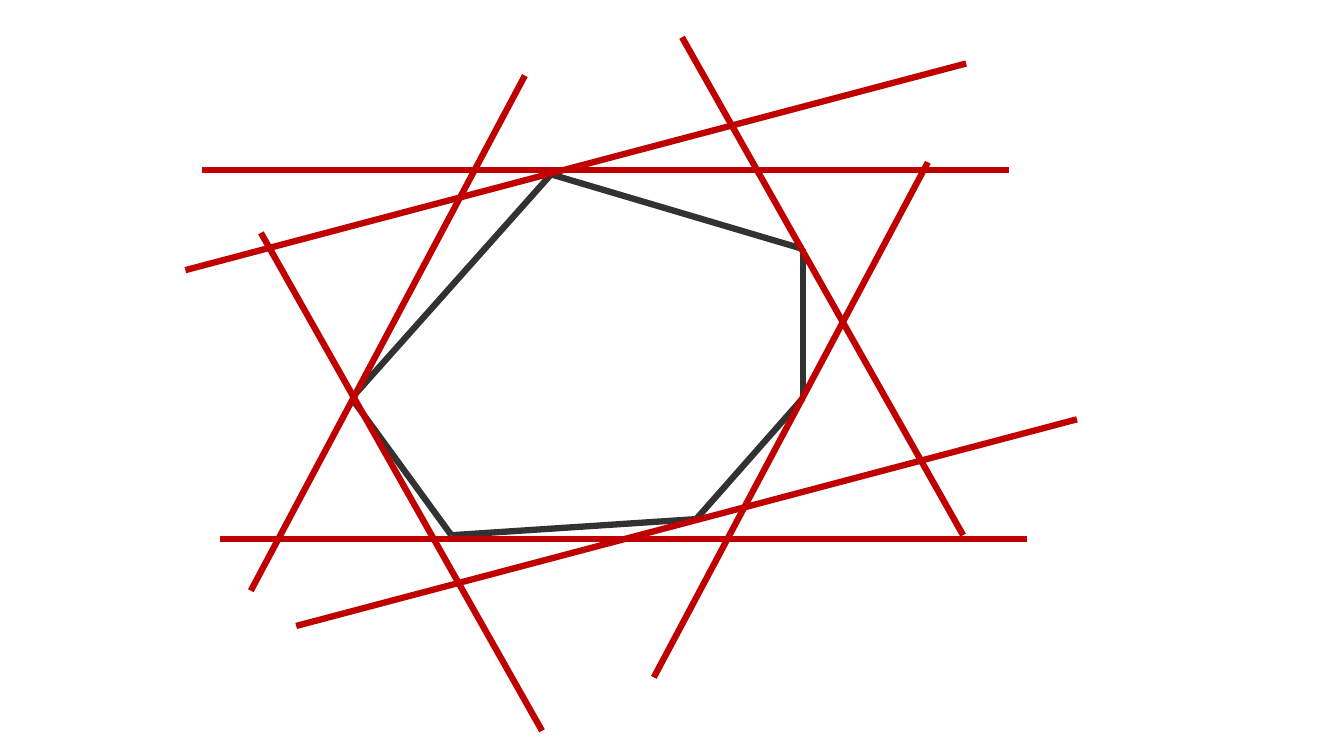
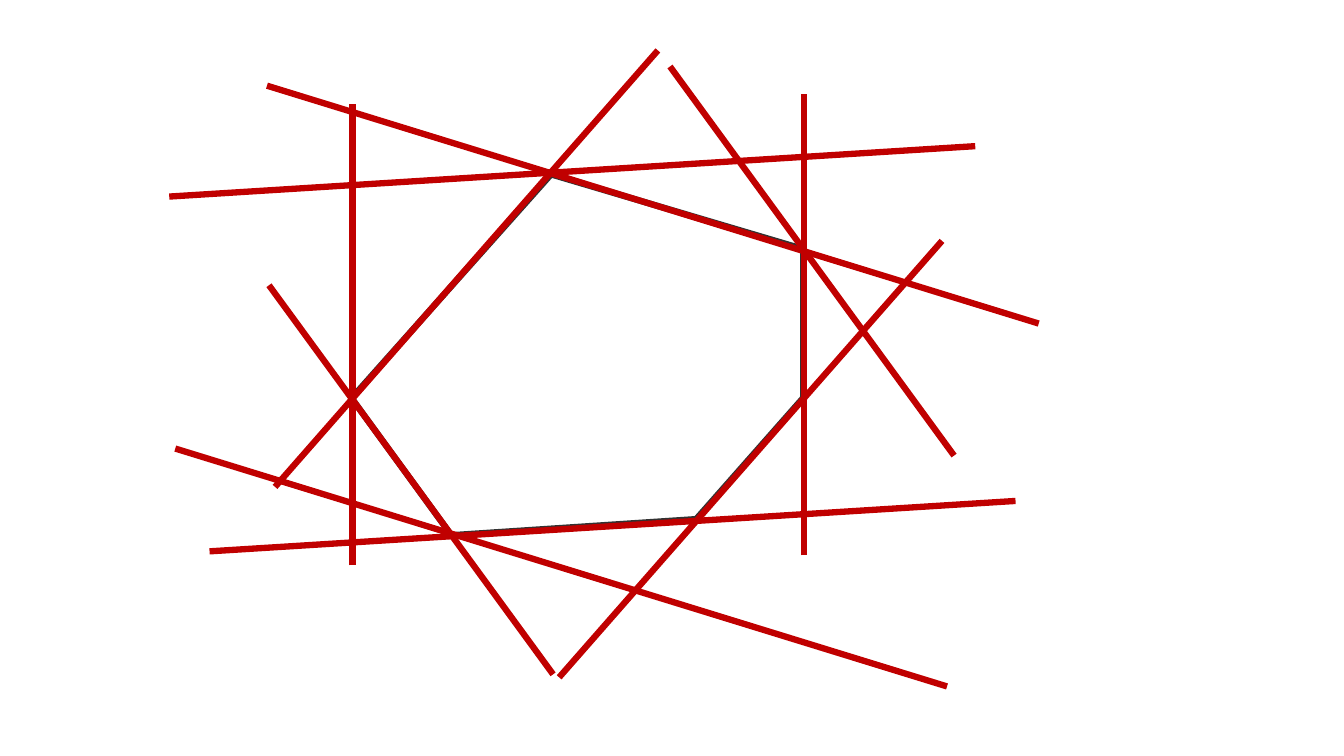
from itertools import pairwise

from lxml import etree
from pptx import Presentation, util as u
from pptx.dml.color import RGBColor
from pptx.enum import shapes
from pptx.oxml import ns

DARK = RGBColor(0x32, 0x32, 0x32)
RED = RGBColor(0xC0, 0x00, 0x00)
WHITE = RGBColor(0xFF, 0xFF, 0xFF)

# The grid has ten cells to the inch; all points are (column, row).
CELL = u.Inches(0.1)
COLS, ROWS = 133.4, 75

HEXAGON = [(54.7, 17.3), (34.9, 39.5), (44.8, 53.1),
           (69.1, 51.5), (79.7, 39.5), (79.7, 24.7)]

# Each pair of parallels: start of one line, start of the other, shared span.
SUPPORTS = [
    ((20.1, 16.9), (21.8, 53.5), (80.1, 0)),
    ((18.4, 26.8), (29.4, 62.1), (77.5, -20.5)),
    ((24.9, 58.6), (64.9, 67.2), (27.2, -51.1)),
    ((53.8, 72.5), (95.6, 53.1), (-27.9, -49.4)),
]
SIDES = [
    ((54.9, 66.9), (94.7, 45.2), (-28.2, -38.6)),
    ((16.8, 19.5), (20.8, 54.7), (80, -5)),
    ((27.3, 48.3), (55.5, 67.2), (38, -43.3)),
    ((35, 56.1), (79.8, 55.1), (0, -45.8)),
    ((26.5, 8.5), (17.4, 44.5), (76.6, 23.6)),
]


class Deck:
    width = u.Pt(4.5)

    def __init__(self):
        self.prs = Presentation()
        self.prs.slide_width = round(COLS * CELL)
        self.prs.slide_height = round(ROWS * CELL)
        self.slide = None

    def page(self):
        blank = self.prs.slide_layouts[6]
        self.slide = self.prs.slides.add_slide(blank)
        fill = self.slide.background.fill
        fill.solid()
        fill.fore_color.rgb = WHITE

    def line(self, tree, start, end, color):
        ends = [round(n * CELL) for n in (*start, *end)]
        line = tree.add_connector(shapes.MSO_CONNECTOR.STRAIGHT, *ends)
        line.line.color.rgb = color
        line.line.width = self.width
        etree.SubElement(line._element.spPr, ns.qn("a:effectLst"))

    def ring(self, points):
        """Draw a closed outline, one line for each side."""
        for start, end in pairwise([*points, points[0]]):
            self.line(self.slide.shapes, start, end, DARK)

    def pair(self, first, second, span):
        """Group two parallel lines of the same span."""
        group = self.slide.shapes.add_group_shape()
        for x, y in (first, second):
            end = (x + span[0], y + span[1])
            self.line(group.shapes, (x, y), end, RED)


def main():
    deck = Deck()
    for pairs in (SUPPORTS, SIDES):
        deck.page()
        deck.ring(HEXAGON)
        for pair in pairs:
            deck.pair(*pair)
    deck.prs.save("out.pptx")


if __name__ == "__main__":
    main()
